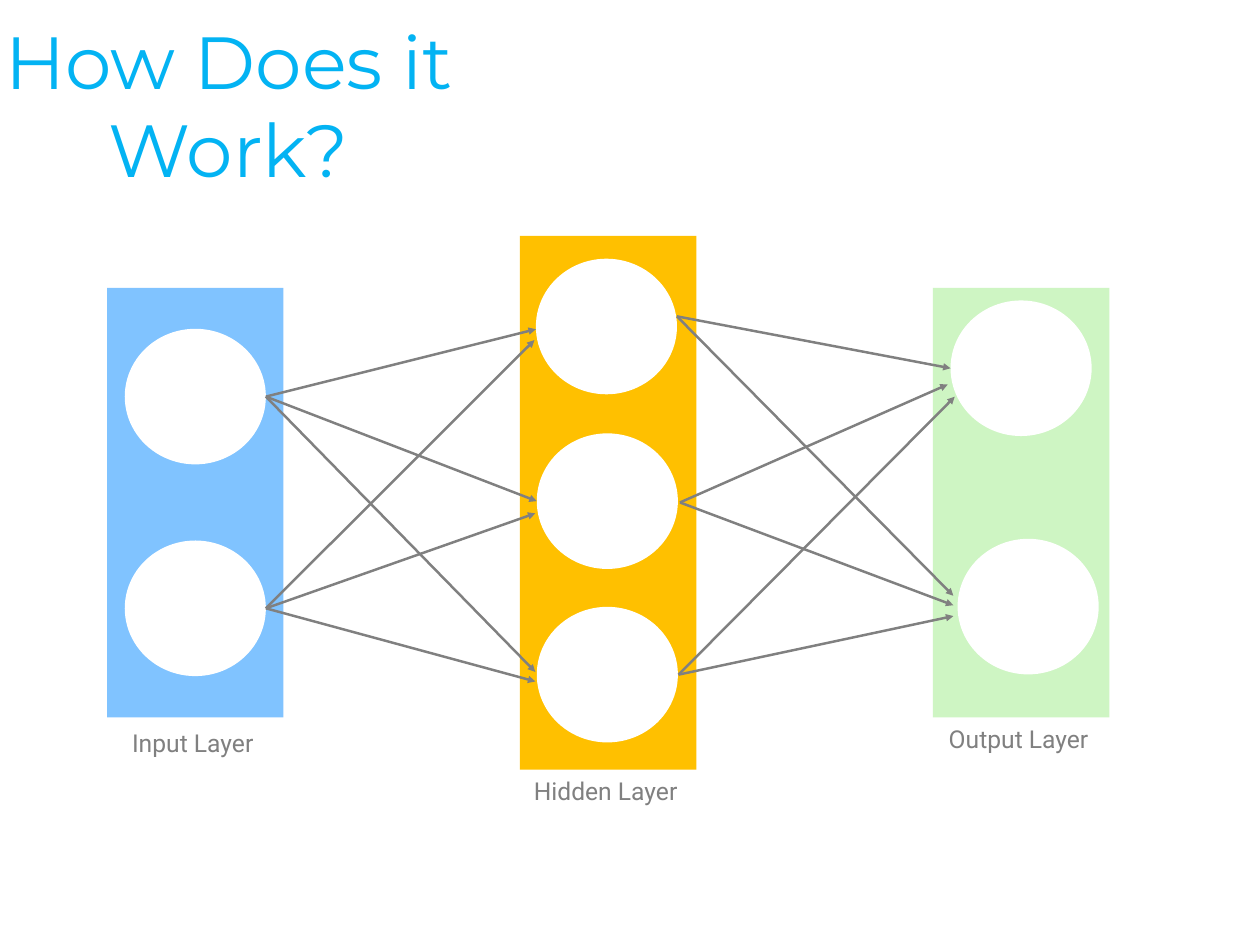
from dataclasses import dataclass

from lxml.etree import SubElement
from pptx import Presentation
from pptx.dml.color import RGBColor
from pptx.enum.shapes import MSO_CONNECTOR, MSO_SHAPE
from pptx.enum.text import MSO_ANCHOR, PP_ALIGN
from pptx.oxml.ns import qn
from pptx.util import Inches, Pt


@dataclass(frozen=True)
class Theme:
    title_color: str = "03B3F3"
    gray: str = "808080"
    node: str = "FFFFFF"
    title_font: str = "Montserrat"
    label_font: str = "Roboto"
    title_size: int = 60
    label_size: int = 20
    line_width: int = 2


@dataclass(frozen=True)
class Box:
    x: int
    y: int
    w: int
    h: int

    def at(self, px, py):
        """Return the point at the given percentages of the box."""
        return self.x + int(self.w * px / 100), self.y + int(self.h * py / 100)

    def inner(self, px, py, pw, ph):
        """Return the inner box given in percentages of this box."""
        return Box(*self.at(px, py), int(self.w * pw / 100), int(self.h * ph / 100))


THEME = Theme()
PAGE = Box(0, 0, Inches(14.22), Inches(10.67))

# Percentages of the slide
LAYER_LEFT, LAYER_PITCH, LAYER_WIDTH, LAYER_MIDDLE = 8.5, 32.77, 14, 53.2
NODE_WIDTH, NODE_HEIGHT = 11.2, 14.35
CAPTION_HEIGHT = 4.1

# Caption, fill, height and caption gap (% of slide), node corners (% of layer)
LAYERS = [
    ("Input Layer", "80C3FF", 45.45, 0.6, [(10, 9.5), (10, 58.8)]),
    ("Hidden Layer", "FFC000", 56.5, 0.2, [(9, 4.3), (9.5, 37), (9.5, 69.5)]),
    ("Output Layer", "CEF5C3", 45.45, 0.2, [(10, 2.9), (14, 58.4)]),
]

# Link ends in percentages of a node: one exit per source node,
# and for each target node one entry per source
LINKS = [
    ([(100, 50), (100, 50)],
     [[(0, 52), (-1, 60)], [(0, 50), (-1, 59)], [(-1, 48), (-1, 55)]]),
    ([(100, 42.5), (101.5, 51), (100.5, 50)],
     [[(0, 50), (-2, 62), (3, 71)], [(-3, 42), (-3, 49), (-3, 57)]]),
]


def write(tf, text, font, size, color):
    tf.text = text
    p = tf.paragraphs[0]
    p.alignment = PP_ALIGN.CENTER
    p.line_spacing = 1.0
    r = p.runs[0]
    r.font.name, r.font.size = font, Pt(size)
    r.font.color.rgb = RGBColor.from_string(color)


def add_title(s, box):
    sp = s.shapes.title
    sp.left, sp.top, sp.width, sp.height = box.x, box.y, box.w, box.h
    tf = sp.text_frame
    tf.word_wrap = True
    tf.vertical_anchor = MSO_ANCHOR.MIDDLE
    tf.margin_left = tf.margin_right = 0
    write(tf, "How Does it Work?", THEME.title_font, THEME.title_size, THEME.title_color)


def add_filled(s, preset, box, color):
    sp = s.shapes.add_shape(preset, box.x, box.y, box.w, box.h)
    sp.shadow.inherit = False
    sp.fill.solid()
    sp.fill.fore_color.rgb = RGBColor.from_string(color)
    sp.line.fill.background()


def add_caption(s, box, text):
    tf = s.shapes.add_textbox(box.x, box.y, box.w, box.h).text_frame
    tf.word_wrap = True
    write(tf, text, THEME.label_font, THEME.label_size, THEME.gray)


def add_layer(s, box, color, corners):
    """Draw a layer with its nodes and return the boxes of the nodes."""
    add_filled(s, MSO_SHAPE.RECTANGLE, box, color)
    size = PAGE.inner(0, 0, NODE_WIDTH, NODE_HEIGHT)
    nodes = [Box(*box.at(*corner), size.w, size.h) for corner in corners]
    for node in nodes:
        add_filled(s, MSO_SHAPE.OVAL, node, THEME.node)
    return nodes


def add_arrow(s, start, end):
    c = s.shapes.add_connector(MSO_CONNECTOR.STRAIGHT, *start, *end)
    c.line.color.rgb = RGBColor.from_string(THEME.gray)
    c.line.width = Pt(THEME.line_width)
    sp_pr = c.element.spPr
    SubElement(sp_pr.find(qn("a:ln")), qn("a:tailEnd"), type="triangle")
    SubElement(sp_pr, qn("a:effectLst"))


def add_links(s, sources, targets, exits, entries):
    for target, ends in zip(targets, entries):
        for source, leave, enter in zip(sources, exits, ends):
            add_arrow(s, source.at(*leave), target.at(*enter))


def add_network(s, page):
    layers = []
    for i, (caption, color, height, gap, corners) in enumerate(LAYERS):
        left = LAYER_LEFT + i * LAYER_PITCH
        top = LAYER_MIDDLE - height / 2
        box = page.inner(left, top, LAYER_WIDTH, height)
        layers.append(add_layer(s, box, color, corners))
        add_caption(s, page.inner(left - 0.2, top + height + gap, LAYER_WIDTH,
                                  CAPTION_HEIGHT), caption)
    for sources, targets, (exits, entries) in zip(layers, layers[1:], LINKS):
        add_links(s, sources, targets, exits, entries)


def main():
    prs = Presentation()
    prs.slide_width, prs.slide_height = PAGE.w, PAGE.h
    s = prs.slides.add_slide(prs.slide_layouts[5])
    add_title(s, PAGE.inner(0, 1, 36.3, 20))
    add_network(s, PAGE)
    prs.save("out.pptx")


if __name__ == "__main__":
    main()
